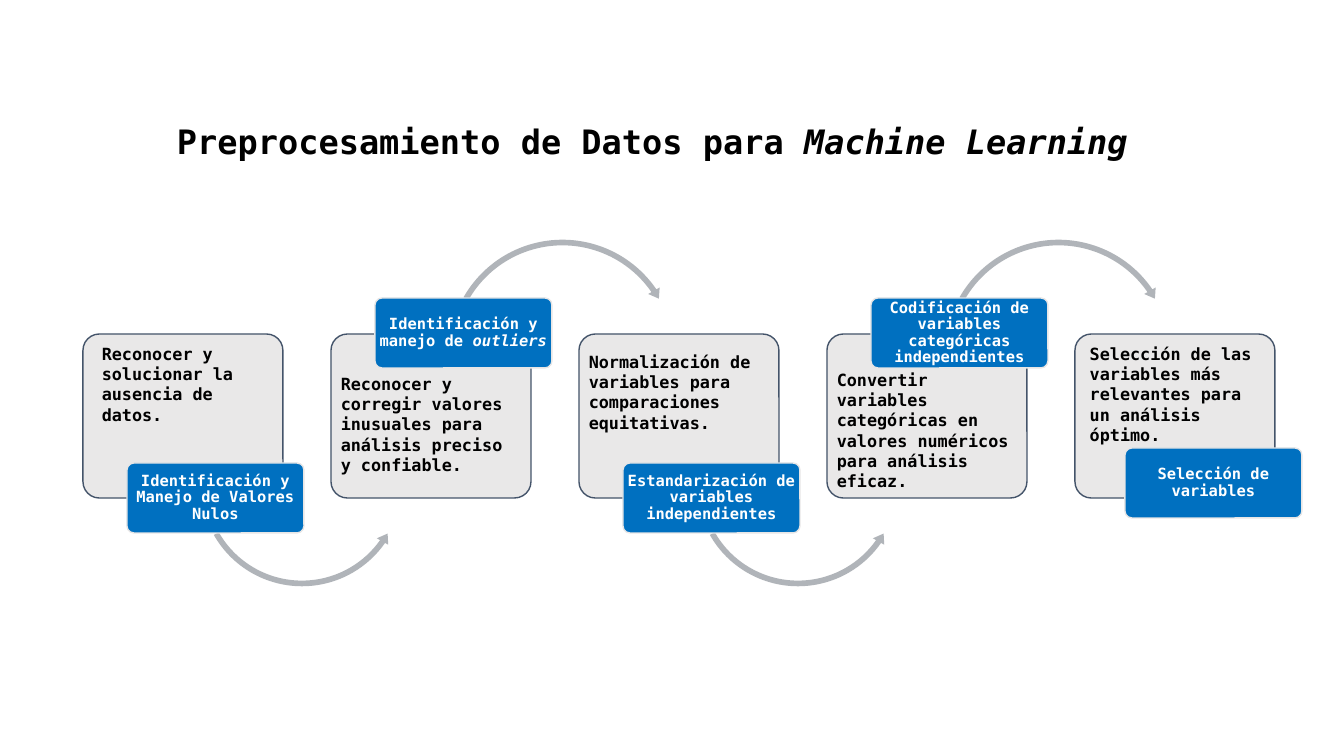
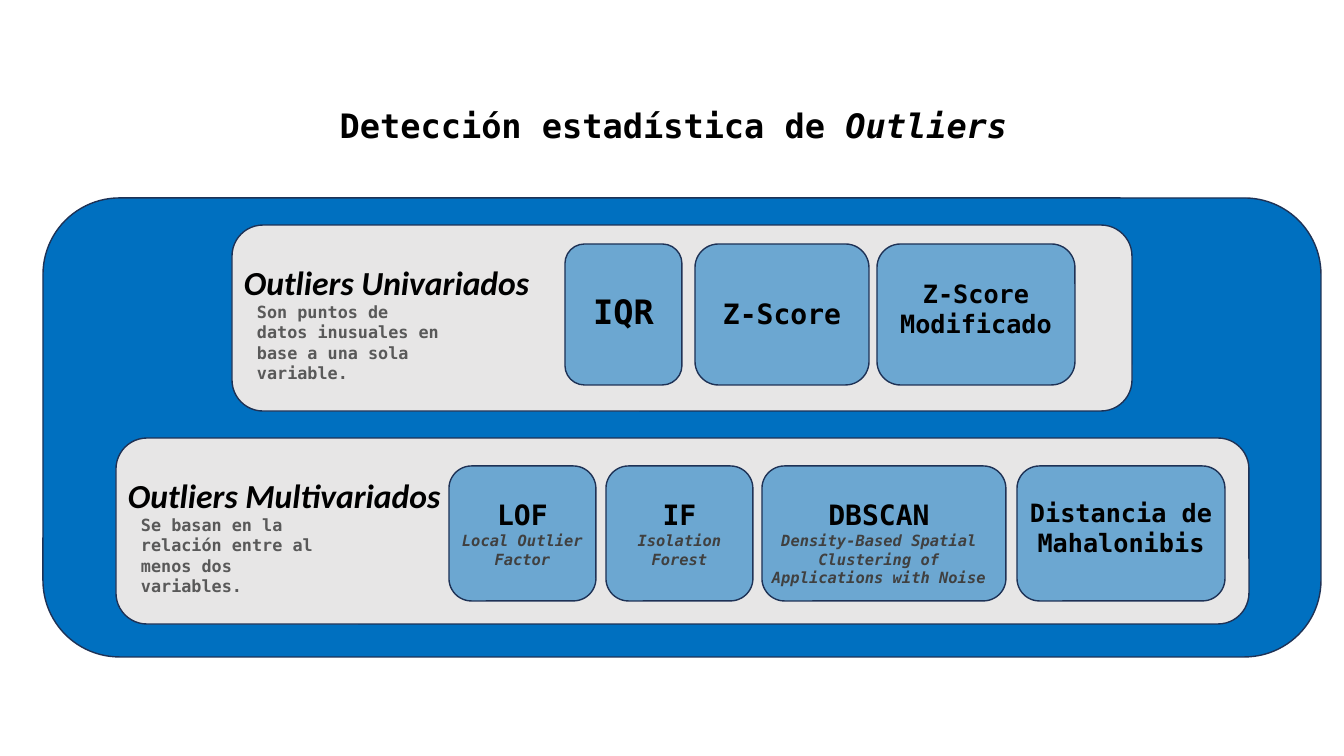
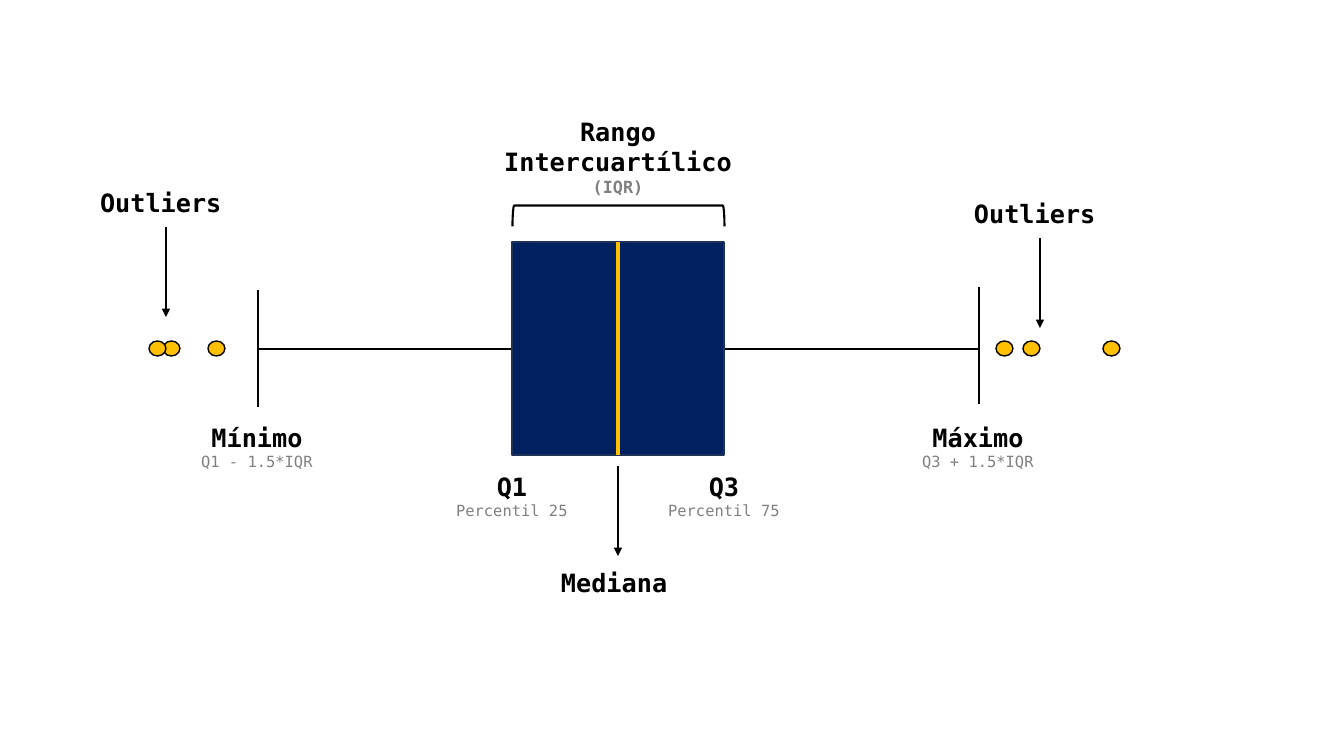
from dataclasses import dataclass

import lxml.etree
import pptx
import pptx.dml.color
import pptx.enum.shapes
import pptx.enum.text
import pptx.oxml.ns
import pptx.shapes.autoshape
import pptx.shapes.base
import pptx.slide
import pptx.text.text
import pptx.util

SHAPE = pptx.enum.shapes.MSO_SHAPE
ALIGN = pptx.enum.text.PP_ALIGN
ANCHOR = pptx.enum.text.MSO_ANCHOR
qn = pptx.oxml.ns.qn


@dataclass(frozen=True)
class Theme:
    mono: str = "DejaVu Sans Mono"
    sans: str = "Calibri"
    black: str = "000000"
    white: str = "FFFFFF"
    blue: str = "0070C0"
    navy: str = "002060"
    outline: str = "1E3256"
    slate: str = "44546A"
    light: str = "E7E6E6"
    arrow: str = "B0B4B9"
    gold: str = "FFC000"
    dark_grey: str = "404040"
    text_grey: str = "595959"
    mid_grey: str = "808080"
    title: int = 24
    large: int = 20
    label: int = 18
    body: int = 12
    small: int = 11


T = Theme()


@dataclass(frozen=True)
class Run:
    text: str
    size: int = T.body
    color: str = T.black
    bold: bool = True
    italic: bool = False
    font: str = T.mono


Paragraphs = list[list[Run]]


@dataclass(frozen=True)
class Box:
    x: int
    y: int
    w: int
    h: int


@dataclass(frozen=True)
class Margins:
    left: int = 10
    top: int = 5
    right: int = 10
    bottom: int = 5


@dataclass(frozen=True)
class Stage:
    """One preprocessing step: a card, its badge and the arrow to the next step."""
    text: str
    badge: list[tuple[str, bool]]
    badge_y: int
    margins: Margins
    badge_dx: int = 44
    arrow: str = ""


@dataclass(frozen=True)
class Tile:
    x: int
    w: int
    name: str
    size: int
    top: int
    detail: str = ""
    right: int = 0


@dataclass(frozen=True)
class Panel:
    box: Box
    heading: str
    text: str
    tile_y: int
    tile_h: int
    tiles: list[Tile]


@dataclass(frozen=True)
class Label:
    box: Box
    name: str
    detail: str = ""
    detail_size: int = T.small
    detail_bold: bool = False


@dataclass(frozen=True)
class Line:
    x1: int
    y1: int
    x2: int
    y2: int
    width: float = 1
    color: str = T.black
    arrow: bool = False


ARROWS = {
    "over": (SHAPE.CIRCULAR_ARROW, 236, 235, (0.024, 2.907, 195.338, 125.755, 0.028)),
    "under": (SHAPE.LEFT_CIRCULAR_ARROW, 380, 210, (0.027, 3.281, 21.036, 90.245, 0.031)),
}

STAGE_X, STAGE_STEP, STAGE_Y = 83, 248, 334
BADGE_HIGH, BADGE_LOW, BADGE_LAST = 298, 463, 448
STAGES = [
    Stage("Reconocer y solucionar la ausencia de datos.",
          [("Identificación y Manejo de Valores Nulos", False)],
          BADGE_LOW, Margins(14, 5, 10), arrow="under"),
    Stage("Reconocer y corregir valores inusuales para análisis preciso y confiable.",
          [("Identificación y manejo de ", False), ("outliers", True)],
          BADGE_HIGH, Margins(5, 35, 5), arrow="over"),
    Stage("Normalización de variables para comparaciones equitativas.",
          [("Estandarización de variables independientes", False)],
          BADGE_LOW, Margins(5, 13, 5), arrow="under"),
    Stage("Convertir variables categóricas en valores numéricos para análisis eficaz.",
          [("Codificación de variables categóricas independientes", False)],
          BADGE_HIGH, Margins(5, 31, 5), arrow="over"),
    Stage("Selección de las variables más relevantes para un análisis óptimo.",
          [("Selección de variables", False)],
          BADGE_LAST, Margins(), badge_dx=50),
]

PANELS = [
    Panel(Box(116, 438, 1133, 186), "Outliers Multivariados",
          "Se basan en la relación entre al menos dos variables.", 466, 135, [
              Tile(449, 147, "LOF", T.large, 25, "Local Outlier Factor"),
              Tile(606, 147, "IF", T.large, 25, "Isolation Forest"),
              Tile(762, 244, "DBSCAN", T.large, 25,
                   "Density-Based Spatial Clustering of Applications with Noise", 10),
              Tile(1017, 208, "Distancia de Mahalonibis", T.label, 25),
          ]),
    Panel(Box(232, 225, 900, 186), "Outliers Univariados",
          "Son puntos de datos inusuales en base a una sola variable.", 244, 141, [
              Tile(565, 117, "IQR", T.title, 41),
              Tile(695, 174, "Z-Score", T.large, 46),
              Tile(877, 198, "Z-Score Modificado", T.label, 27),
          ]),
]

MIN_X, MAX_X, AXIS_Y, MEDIAN_X = 258, 979, 349, 618
QUARTILES = Box(512, 242, 212, 213)
LINES = [
    Line(MAX_X, 287, MAX_X, 404),
    Line(MIN_X, 290, MIN_X, 407),
    Line(MEDIAN_X, QUARTILES.y, MEDIAN_X, QUARTILES.y + QUARTILES.h, 2.5, T.gold),
    Line(166, 227, 166, 317, arrow=True),
    Line(MEDIAN_X, 466, MEDIAN_X, 556, arrow=True),
    Line(1040, 238, 1040, 328, arrow=True),
]
OUTLIER_XS = (996, 1023, 1103, 208, 163, 149)
LABELS = [
    Label(Box(90, 182, 153, 40), "Outliers"),
    Label(Box(964, 193, 153, 40), "Outliers"),
    Label(Box(551, 562, 133, 40), "Mediana"),
    Label(Box(446, 466, 132, 61), "Q1", "Percentil 25"),
    Label(Box(658, 466, 132, 61), "Q3", "Percentil 75"),
    Label(Box(191, 417, 132, 61), "Mínimo", "Q1 - 1.5*IQR"),
    Label(Box(912, 417, 132, 61), "Máximo", "Q3 + 1.5*IQR"),
    Label(Box(494, 111, 248, 95), "Rango Intercuartílico", "(IQR)", T.body, True),
]


def px(n: float) -> pptx.util.Emu:
    return pptx.util.Emu(round(n * 914400 / 100.8))


def rgb(color: str) -> pptx.dml.color.RGBColor:
    return pptx.dml.color.RGBColor.from_string(color)


def place(sp: pptx.shapes.base.BaseShape, box: Box) -> None:
    sp.left, sp.top, sp.width, sp.height = map(px, (box.x, box.y, box.w, box.h))


def write(tf: pptx.text.text.TextFrame, paragraphs: Paragraphs,
          align: ALIGN = ALIGN.LEFT, margins: Margins = Margins(),
          anchor: ANCHOR = ANCHOR.TOP, spacing: float = 1.0) -> None:
    tf.word_wrap = True
    tf.auto_size = pptx.enum.text.MSO_AUTO_SIZE.NONE
    tf.vertical_anchor = anchor
    tf.margin_left, tf.margin_right = px(margins.left), px(margins.right)
    tf.margin_top, tf.margin_bottom = px(margins.top), px(margins.bottom)
    for i, runs in enumerate(paragraphs):
        p = tf.add_paragraph() if i else tf.paragraphs[0]
        p.alignment, p.line_spacing = align, spacing
        for run in runs:
            r = p.add_run()
            r.text = run.text
            r.font.name, r.font.size = run.font, pptx.util.Pt(run.size)
            r.font.bold, r.font.italic = run.bold, run.italic
            r.font.color.rgb = rgb(run.color)


def add_text(s: pptx.slide.Slide, box: Box, paragraphs: Paragraphs,
             align: ALIGN = ALIGN.LEFT) -> None:
    sp = s.shapes.add_textbox(0, 0, 0, 0)
    place(sp, box)
    write(sp.text_frame, paragraphs, align)


def add_shape(s: pptx.slide.Slide, kind: SHAPE, box: Box, fill: str = "",
              line: str = "", width: float = 1, opacity: int = 100,
              adjust: tuple[float, ...] = ()) -> pptx.shapes.autoshape.Shape:
    sp = s.shapes.add_shape(kind, 0, 0, 0, 0)
    place(sp, box)
    sp.shadow.inherit = False
    for i, value in enumerate(adjust):
        sp.adjustments[i] = value
    if fill:
        sp.fill.solid()
        sp.fill.fore_color.rgb = rgb(fill)
    else:
        sp.fill.background()
    if opacity < 100:
        color = sp._element.spPr.find(qn("a:solidFill")).find(qn("a:srgbClr"))
        lxml.etree.SubElement(color, qn("a:alpha")).set("val", str(opacity * 1000))
    if line:
        sp.line.color.rgb = rgb(line)
        sp.line.width = pptx.util.Pt(width)
    else:
        sp.line.fill.background()
    return sp


def add_line(s: pptx.slide.Slide, line: Line) -> None:
    cn = s.shapes.add_connector(pptx.enum.shapes.MSO_CONNECTOR.STRAIGHT,
                                px(line.x1), px(line.y1), px(line.x2), px(line.y2))
    cn.line.color.rgb = rgb(line.color)
    cn.line.width = pptx.util.Pt(line.width)
    if line.arrow:
        ln = cn.line._get_or_add_ln()
        lxml.etree.SubElement(ln, qn("a:tailEnd")).set("type", "triangle")
    lxml.etree.SubElement(cn._element.spPr, qn("a:effectLst"))


def titled_slide(prs: pptx.presentation.Presentation, box: Box, text: str,
                 emphasis: str, align: ALIGN) -> pptx.slide.Slide:
    """Add a title-only slide whose title ends in italics."""
    s = prs.slides.add_slide(prs.slide_layouts.get_by_name("Title Only"))
    place(s.shapes.title, box)
    write(s.shapes.title.text_frame,
          [[Run(text, T.title), Run(emphasis, T.title, italic=True)]], align)
    return s


def add_stage(s: pptx.slide.Slide, x: int, stage: Stage) -> None:
    card = add_shape(s, SHAPE.ROUNDED_RECTANGLE, Box(x, STAGE_Y, 200, 164),
                     T.light, T.slate, opacity=90, adjust=(0.1,))
    write(card.text_frame, [[Run(stage.text)]], margins=stage.margins)
    if stage.arrow:
        kind, y, size, adjust = ARROWS[stage.arrow]
        add_shape(s, kind, Box(x + 114, y, size, size), T.arrow, adjust=adjust)
    badge = add_shape(s, SHAPE.ROUNDED_RECTANGLE,
                      Box(x + stage.badge_dx, stage.badge_y, 177, 70),
                      T.blue, T.light, adjust=(0.1,))
    runs = [Run(text, T.small, T.white, italic=italic) for text, italic in stage.badge]
    write(badge.text_frame, [runs], ALIGN.CENTER, Margins(2, 2, 2, 2),
          ANCHOR.MIDDLE, 0.9)


def add_panel(s: pptx.slide.Slide, panel: Panel) -> None:
    x, y = panel.box.x, panel.box.y
    add_shape(s, SHAPE.ROUNDED_RECTANGLE, panel.box, T.light, T.outline)
    add_text(s, Box(x + 2, y + 32, 344, 50),
             [[Run(panel.heading, T.title, italic=True, font=T.sans)]])
    add_text(s, Box(x + 15, y + 72, 208, 112), [[Run(panel.text, color=T.text_grey)]])
    for tile in panel.tiles:
        sp = add_shape(s, SHAPE.ROUNDED_RECTANGLE,
                       Box(tile.x, panel.tile_y, tile.w, panel.tile_h),
                       T.blue, T.outline, opacity=53)
        paragraphs = [[Run(tile.name, tile.size)]]
        if tile.detail:
            paragraphs.append([Run(tile.detail, T.small, T.dark_grey, italic=True)])
        write(sp.text_frame, paragraphs, ALIGN.CENTER,
              Margins(0, tile.top, tile.right, 0))


def add_label(s: pptx.slide.Slide, label: Label) -> None:
    paragraphs = [[Run(label.name, T.label)]]
    if label.detail:
        paragraphs.append([Run(label.detail, label.detail_size, T.mid_grey,
                               label.detail_bold)])
    add_text(s, label.box, paragraphs, ALIGN.CENTER if label.detail else ALIGN.LEFT)


def preprocessing_slide(prs: pptx.presentation.Presentation) -> None:
    s = titled_slide(prs, Box(167, 116, 1011, 50), "Preprocesamiento de Datos para ",
                     "Machine Learning", ALIGN.LEFT)
    for i, stage in enumerate(STAGES):
        add_stage(s, STAGE_X + i * STAGE_STEP, stage)


def detection_slide(prs: pptx.presentation.Presentation) -> None:
    s = titled_slide(prs, Box(146, 100, 1055, 50), "Detección estadística de ",
                     "Outliers", ALIGN.CENTER)
    add_shape(s, SHAPE.ROUNDED_RECTANGLE, Box(43, 198, 1278, 459), T.blue, T.outline)
    for panel in PANELS:
        add_panel(s, panel)


def box_plot_slide(prs: pptx.presentation.Presentation) -> None:
    s = prs.slides.add_slide(prs.slide_layouts.get_by_name("Blank"))
    add_line(s, Line(MIN_X, AXIS_Y, MAX_X, AXIS_Y, 1.5))
    add_shape(s, SHAPE.RECTANGLE, QUARTILES, T.navy, T.outline)
    for line in LINES:
        add_line(s, line)
    for x in OUTLIER_XS:
        add_shape(s, SHAPE.OVAL, Box(x, 341, 17, 15), T.gold, T.black)
    bracket = add_shape(s, SHAPE.LEFT_BRACKET, Box(608, 110, 21, QUARTILES.w),
                        line=T.black, width=1.5)
    bracket.rotation = 90
    for label in LABELS:
        add_label(s, label)


def main() -> None:
    prs = pptx.Presentation()
    prs.slide_width, prs.slide_height = px(1344), px(756)
    preprocessing_slide(prs)
    detection_slide(prs)
    box_plot_slide(prs)
    prs.save("out.pptx")


if __name__ == "__main__":
    main()
